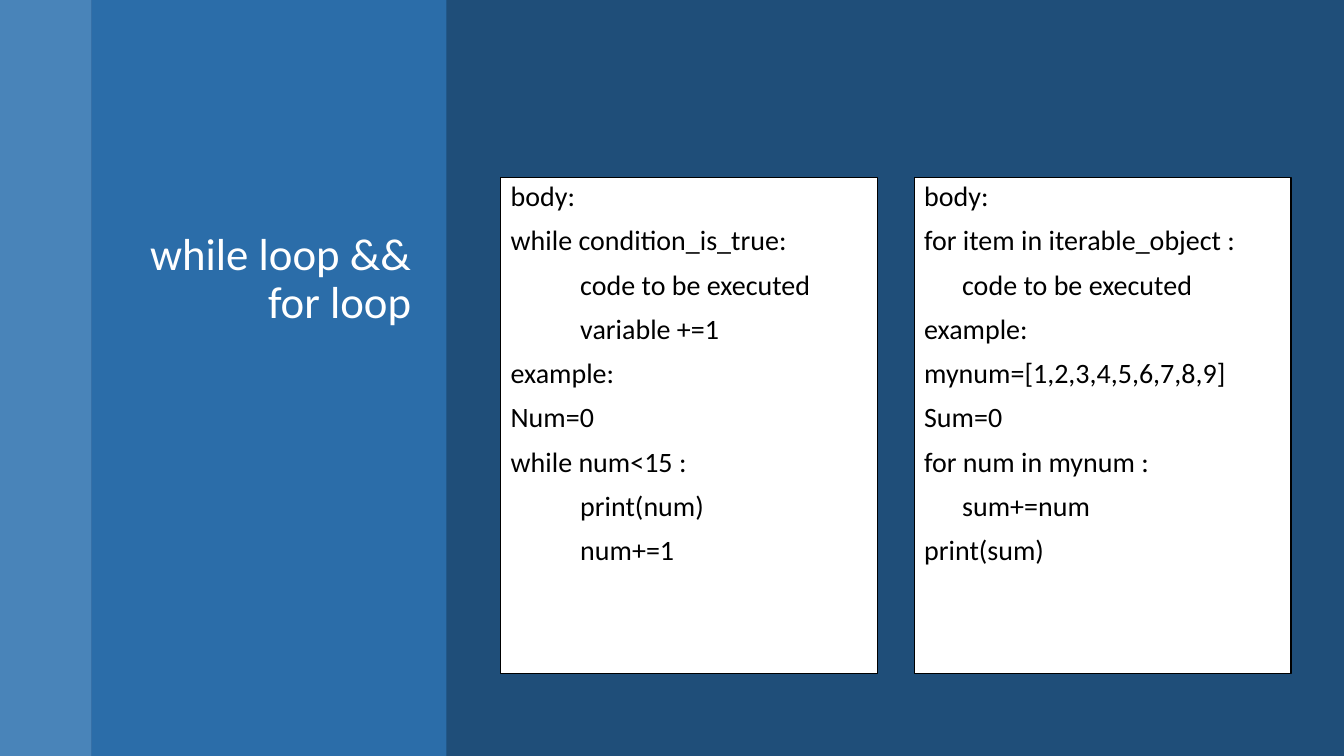
from lxml import etree
from pptx import Presentation
from pptx.dml.color import RGBColor
from pptx.enum.shapes import MSO_SHAPE
from pptx.enum.text import MSO_ANCHOR, MSO_AUTO_SIZE, PP_ALIGN
from pptx.oxml.ns import qn
from pptx.util import Cm, Pt

RECT = MSO_SHAPE.RECTANGLE
TOP = MSO_ANCHOR.TOP
NO_FIT = MSO_AUTO_SIZE.NONE
LEFT, RIGHT = PP_ALIGN.LEFT, PP_ALIGN.RIGHT

COLORS = {
    "background": "1F4E79",
    "strip": "5B9BD5",
    "sidebar": "2E75B6",
    "white": "FFFFFF",
    "black": "000000",
}
FONT = "Calibri"
SLIDE_W, SLIDE_H = 33.87, 19.05
STRIP_W, SIDEBAR_W = 2.31, 8.94
CONTENT_TOP, CONTENT_H = 4.47, 12.5
CODE_LEFT, CODE_W, CODE_GAP = 12.62, 9.5, 0.92

WHILE_CODE = """body:
while condition_is_true:
           code to be executed
           variable +=1
example:
Num=0
while num<15 :
           print(num)
           num+=1"""
FOR_CODE = """body:
for item in iterable_object :
      code to be executed
example:
mynum=[1,2,3,4,5,6,7,8,9]
Sum=0
for num in mynum :
      sum+=num
print(sum)"""


def rgb(name):
    return RGBColor.from_string(COLORS[name])


def format_paragraph(p, size, color, align):
    p.alignment = align
    p.line_spacing = 0.9
    p.font.name = FONT
    p.font.size = Pt(size)
    p.font.color.rgb = rgb(color)


def add_rectangle(s, box, color):
    sp = s.shapes.add_shape(RECT, *map(Cm, box))
    sp.shadow.inherit = False
    sp.fill.solid()
    sp.fill.fore_color.rgb = rgb(color)
    return sp


def add_band(s, box, color, opacity):
    """Place a see-through, unoutlined band behind the title."""
    sp = add_rectangle(s, box, color)
    sp.line.fill.background()
    srgb = sp.element.spPr.find(qn("a:solidFill")).find(qn("a:srgbClr"))
    etree.SubElement(srgb, qn("a:alpha"), val=str(opacity * 1000))
    s.shapes.title.element.addprevious(sp.element)


def add_sidebar(s, box, text):
    x, y, w, h = box
    add_band(s, (x, y, STRIP_W, h), "strip", 70)
    add_band(s, (x + STRIP_W, y, w - STRIP_W, h), "sidebar", 80)

    title = s.shapes.title
    title.left, title.top = Cm(x + 2.77), Cm(y + CONTENT_TOP)
    title.width, title.height = Cm(7.85), Cm(CONTENT_H)
    tf = title.text_frame
    tf.text = text
    tf.word_wrap = True
    tf.auto_size = NO_FIT
    tf.vertical_anchor = TOP
    tf.margin_top = Cm(1.37)
    format_paragraph(tf.paragraphs[0], 32, "white", RIGHT)


def add_code(s, box, code):
    sp = add_rectangle(s, box, "white")
    sp.line.color.rgb = rgb("black")
    sp.line.width = Pt(1)
    tf = sp.text_frame
    tf.word_wrap = True
    tf.vertical_anchor = TOP
    tf.text = code
    for i, p in enumerate(tf.paragraphs):
        format_paragraph(p, 20, "black", LEFT)
        p.space_before = Pt(10 if i else 0)


def main():
    prs = Presentation()
    prs.slide_width, prs.slide_height = Cm(SLIDE_W), Cm(SLIDE_H)
    s = prs.slides.add_slide(prs.slide_layouts[5])
    s.background.fill.solid()
    s.background.fill.fore_color.rgb = rgb("background")

    add_sidebar(s, (0, 0, STRIP_W + SIDEBAR_W, SLIDE_H), "while loop && for loop")
    for i, code in enumerate((WHILE_CODE, FOR_CODE)):
        x = CODE_LEFT + i * (CODE_W + CODE_GAP)
        add_code(s, (x, CONTENT_TOP, CODE_W, CONTENT_H), code)
    prs.save("out.pptx")


if __name__ == "__main__":
    main()
